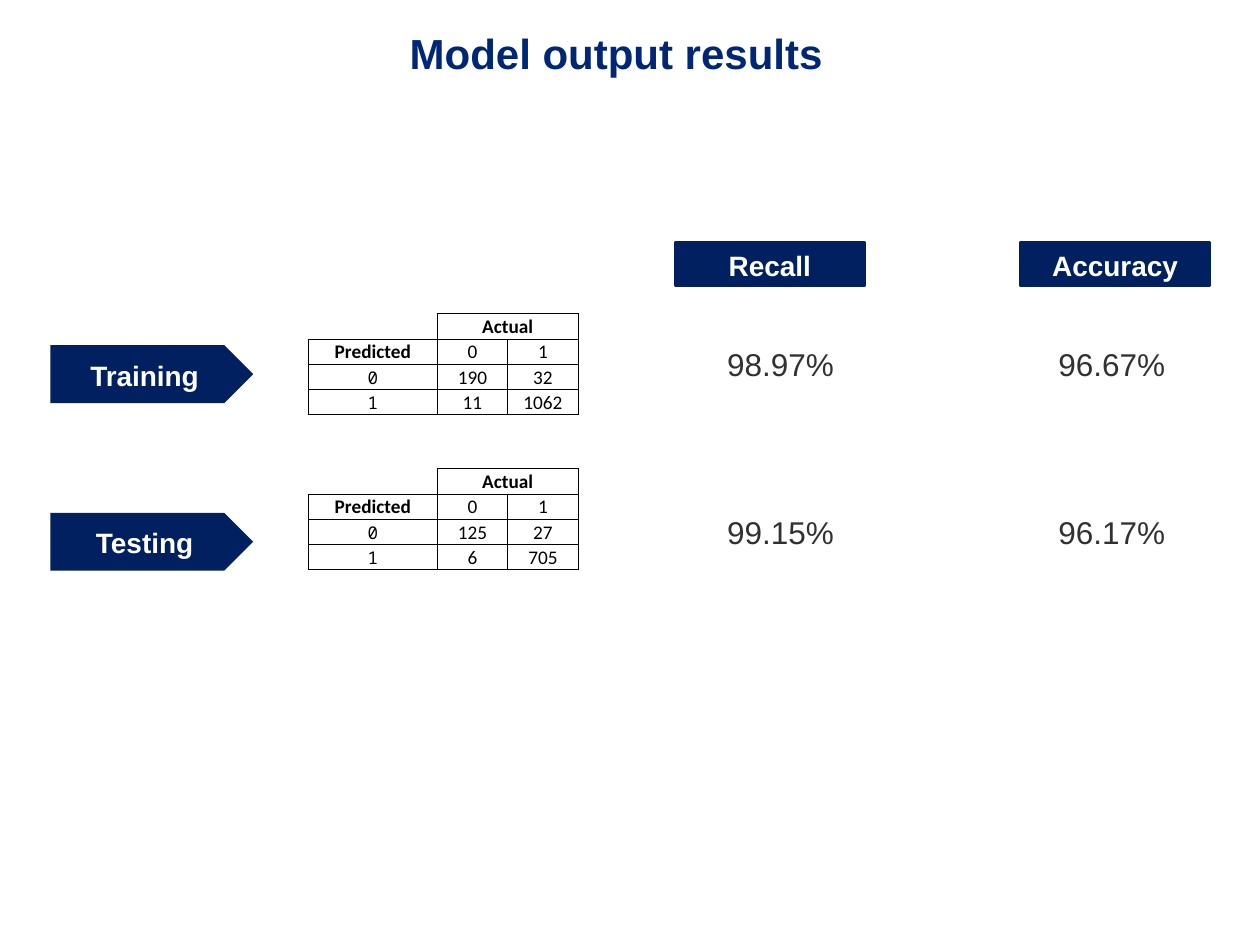
from lxml.etree import SubElement
from pptx import Presentation
from pptx.dml.color import RGBColor
from pptx.enum.shapes import MSO_SHAPE as SHAPE
from pptx.enum.text import MSO_ANCHOR as ANCHOR, MSO_AUTO_SIZE as AUTO, PP_ALIGN as ALIGN
from pptx.oxml import parse_xml
from pptx.oxml.ns import nsdecls, qn
from pptx.util import Inches, Pt

NAVY = RGBColor(0x00, 0x20, 0x60)
TITLE_BLUE = RGBColor(0x00, 0x27, 0x76)
GREY = RGBColor(0x31, 0x31, 0x31)
BLACK = RGBColor(0, 0, 0)
WHITE = RGBColor(0xFF, 0xFF, 0xFF)

COLUMNS = [1.02, 0.56, 0.56]
ROW_HEIGHT = 0.2
RESULTS = [
    # label, label top, table top, confusion counts, recall, accuracy
    ("Training", 2.74, 2.49, [("190", "32"), ("11", "1062")], "98.97%", "96.67%"),
    ("Testing", 4.07, 3.72, [("125", "27"), ("6", "705")], "99.15%", "96.17%"),
]


def add_run(p, text, size, color, bold=False, font="Arial"):
    r = p.add_run()
    r.text = text
    r.font.name, r.font.size, r.font.bold = font, Pt(size), bold
    r.font.color.rgb = color


def set_margins(frame, left, top, right, bottom):
    frame.margin_left, frame.margin_top = Inches(left), Inches(top)
    frame.margin_right, frame.margin_bottom = Inches(right), Inches(bottom)


def add_title(slide, x, y, w, h, text):
    tf = slide.shapes.add_textbox(Inches(x), Inches(y), Inches(w), Inches(h)).text_frame
    tf.word_wrap = True
    p = tf.paragraphs[0]
    p.alignment, p.line_spacing = ALIGN.CENTER, 0.85
    add_run(p, text, 24, TITLE_BLUE, bold=True)


def add_label(slide, kind, x, y, w, h, text, outlined=False):
    sp = slide.shapes.add_shape(kind, Inches(x), Inches(y), Inches(w), Inches(h))
    sp.shadow.inherit = False
    sp.fill.solid()
    sp.fill.fore_color.rgb = NAVY
    if outlined:
        sp.line.color.rgb, sp.line.width = NAVY, Pt(1.5)
    else:
        sp.line.fill.background()
    tf = sp.text_frame
    tf.word_wrap = True
    tf.vertical_anchor = ANCHOR.MIDDLE
    set_margins(tf, 0.1, 0.1, 0.1, 0.1)
    p = tf.paragraphs[0]
    p.alignment, p.line_spacing = ALIGN.CENTER, 1.06
    add_run(p, text, 16, WHITE, bold=True)


def add_metric(slide, x, y, w, h, text):
    tf = slide.shapes.add_textbox(Inches(x), Inches(y), Inches(w), Inches(h)).text_frame
    tf.word_wrap, tf.auto_size = True, AUTO.SHAPE_TO_FIT_TEXT
    set_margins(tf, 0, 0, 0, 0)
    p = tf.paragraphs[0]
    p.space_before = Pt(6)
    add_run(p, text, 18, GREY)


def set_borders(cell, visible):
    """Draw thin black lines on the sides named in visible, none on the rest."""
    tc_pr = cell._tc.get_or_add_tcPr()
    black = f'<a:solidFill><a:srgbClr val="{BLACK}"/></a:solidFill>'
    for i, side in enumerate("LRTB"):
        fill = black if side in visible else "<a:noFill/>"
        tc_pr.insert(i, parse_xml(f'<a:ln{side} {nsdecls("a")} w="6350">{fill}</a:ln{side}>'))


def add_confusion_table(slide, x, y, counts):
    rows = [("", "Actual", ""), ("Predicted", "0", "1")]
    rows += [(str(i), *pair) for i, pair in enumerate(counts)]
    table = slide.shapes.add_table(
        len(rows), len(COLUMNS), Inches(x), Inches(y),
        Inches(sum(COLUMNS)), Inches(ROW_HEIGHT * len(rows))).table
    table.first_row = table.horz_banding = False
    for column, width in zip(table.columns, COLUMNS):
        column.width = Inches(width)
    for i, values in enumerate(rows):
        table.rows[i].height = Inches(ROW_HEIGHT)
        for j, text in enumerate(values):
            cell = table.cell(i, j)
            cell.fill.background()
            set_borders(cell, "RB" if i == j == 0 else "LRTB")
            set_margins(cell, 0.01, 0.01, 0.01, 0)
            cell.vertical_anchor = ANCHOR.MIDDLE if j == 0 else ANCHOR.BOTTOM
            p = cell.text_frame.paragraphs[0]
            p.alignment = ALIGN.CENTER
            if not text:
                SubElement(p._p, qn("a:endParaRPr"), sz="1100")
            elif j == 0 and i > 1:
                add_run(p, text, 10, BLACK, font="Noto Sans Mono")
            else:
                add_run(p, text, 11, BLACK, text in ("Actual", "Predicted"), "Calibri")
    table.cell(0, 1).merge(table.cell(0, 2))


def add_result_row(slide, x, label, y, table_y, counts, recall, accuracy):
    add_label(slide, SHAPE.PENTAGON, x, y, 1.61, 0.46, label)
    add_confusion_table(slide, x + 2.05, table_y, counts)
    add_metric(slide, x + 5.37, y, 1.29, 0.3, recall)
    add_metric(slide, x + 8, y, 1.29, 0.3, accuracy)


def main():
    prs = Presentation()
    prs.slide_width, prs.slide_height = Inches(10), Inches(7.5)
    slide = prs.slides.add_slide(prs.slide_layouts[6])
    add_title(slide, 0.29, 0.23, 9.2, 0.48, "Model output results")
    for x, heading in ((5.36, "Recall"), (8.1, "Accuracy")):
        add_label(slide, SHAPE.RECTANGLE, x, 1.92, 1.5, 0.35, heading, outlined=True)
    for result in RESULTS:
        add_result_row(slide, 0.4, *result)
    prs.save("out.pptx")


if __name__ == "__main__":
    main()
